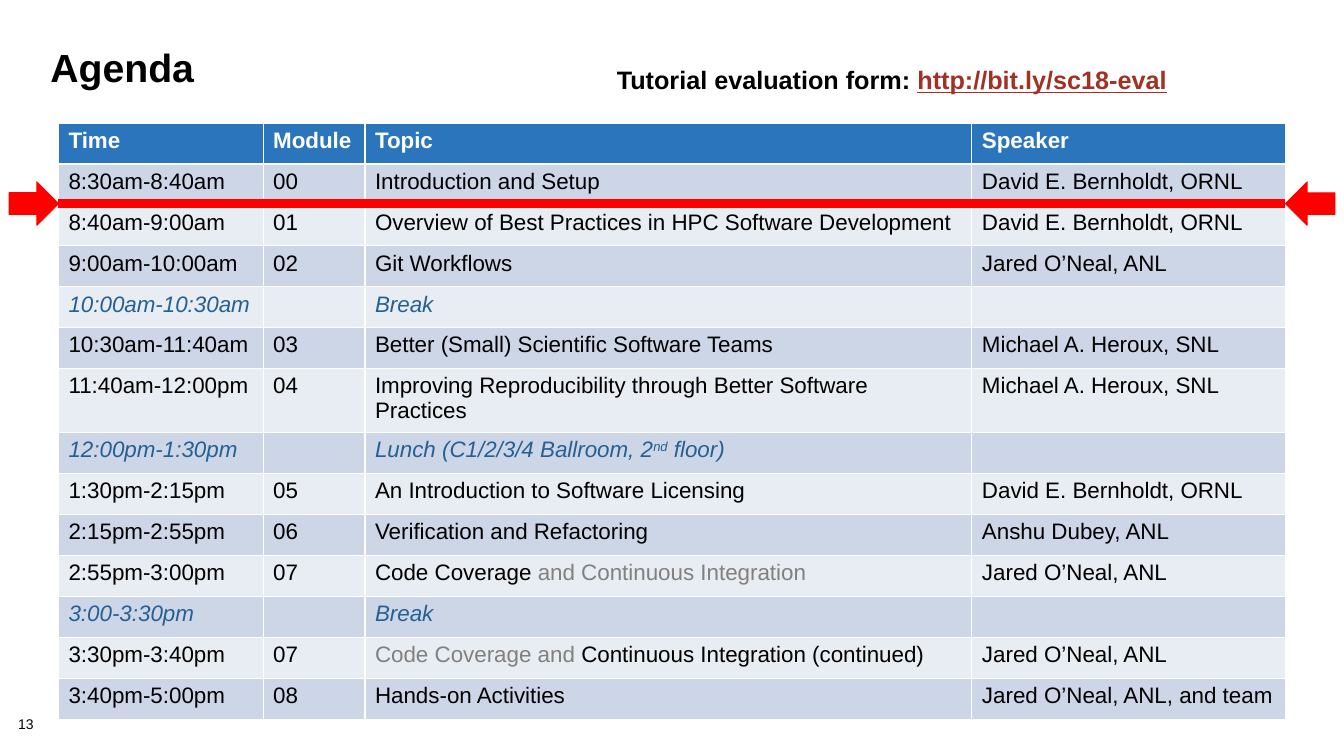
from lxml import etree
from pptx import Presentation
from pptx import util as u
from pptx.dml.color import RGBColor
from pptx.enum import shapes, text
from pptx.oxml.ns import qn

COLORS = {
    "black": "000000", "white": "FFFFFF", "header": "2A75BB",
    "band_dark": "CDD6E7", "band_light": "E8ECF3", "pause": "266093",
    "muted": "808080", "link": "A03123", "marker": "FF0000",
}
BERNHOLDT = "David E. Bernholdt, ORNL"
ONEAL = "Jared O’Neal, ANL"
HEROUX = "Michael A. Heroux, SNL"
MUTED = {"color": "muted"}

HEADER = ("Time", "Module", "Topic", "Speaker")
# A topic is plain text or a list of (text, format) spans; no module means a pause.
SESSIONS = [
    ("8:30am-8:40am", "00", "Introduction and Setup", BERNHOLDT),
    ("8:40am-9:00am", "01", "Overview of Best Practices in HPC Software Development", BERNHOLDT),
    ("9:00am-10:00am", "02", "Git Workflows", ONEAL),
    ("10:00am-10:30am", "", "Break", ""),
    ("10:30am-11:40am", "03", "Better (Small) Scientific Software Teams", HEROUX),
    ("11:40am-12:00pm", "04", "Improving Reproducibility through Better Software Practices", HEROUX),
    ("12:00pm-1:30pm", "", [("Lunch (C1/2/3/4 Ballroom, 2", {}), ("nd", {"raised": True}),
                            (" floor)", {})], ""),
    ("1:30pm-2:15pm", "05", "An Introduction to Software Licensing", BERNHOLDT),
    ("2:15pm-2:55pm", "06", "Verification and Refactoring", "Anshu Dubey, ANL"),
    ("2:55pm-3:00pm", "07", [("Code Coverage ", {}), ("and Continuous Integration", MUTED)], ONEAL),
    ("3:00-3:30pm", "", "Break", ""),
    ("3:30pm-3:40pm", "07", [("Code Coverage and ", MUTED),
                             ("Continuous Integration (continued)", {})], ONEAL),
    ("3:40pm-5:00pm", "08", "Hands-on Activities", "Jared O’Neal, ANL, and team"),
]


def rgb(name):
    return RGBColor.from_string(COLORS[name])


def add_span(para, words, size=16, color="black", bold=False, italic=False,
             underline=False, raised=False):
    span = para.add_run()
    span.text = words
    font = span.font
    font.name, font.size, font.color.rgb = "Arial", u.Pt(size), rgb(color)
    font.bold, font.italic = bold, italic
    if underline:
        font.underline = True
    if raised:
        span._r.get_or_add_rPr().set("baseline", "30000")


class AgendaSlide:
    def __init__(self, deck):
        self.page = deck.slides.add_slide(deck.slide_layouts[5])

    def title(self, words, left, top, width, height):
        box = self.page.shapes.title
        box.left, box.top = u.Inches(left), u.Inches(top)
        box.width, box.height = u.Inches(width), u.Inches(height)
        frame = box.text_frame
        frame.auto_size = text.MSO_AUTO_SIZE.NONE
        frame.vertical_anchor = text.MSO_ANCHOR.TOP
        para = frame.paragraphs[0]
        para.alignment, para.line_spacing = text.PP_ALIGN.LEFT, 0.85
        add_span(para, words, size=28, bold=True)

    def text_box(self, spans, left, top, width, height, spacing, align, inset=None):
        box = self.page.shapes.add_textbox(*map(u.Inches, (left, top, width, height)))
        frame = box.text_frame
        frame.word_wrap = False
        if inset is not None:
            frame.margin_left = frame.margin_right = u.Inches(inset)
            frame.margin_top = frame.margin_bottom = u.Inches(inset)
        para = frame.paragraphs[0]
        para.alignment, para.line_spacing = align, spacing
        for words, style in spans:
            add_span(para, words, **style)

    def table(self, rows, widths, left, top, height):
        frame = self.page.shapes.add_table(
            len(rows), len(widths), *map(u.Inches, (left, top, sum(widths), height)))
        grid = frame.table
        for column, width in zip(grid.columns, widths):
            column.width = u.Inches(width)
        for index, row in enumerate(rows):
            if index == 0:
                fill, style = "header", {"color": "white", "bold": True}
            else:
                fill = "band_dark" if index % 2 else "band_light"
                style = {} if row[1] else {"color": "pause", "italic": True}
            for cell, content in zip(grid.rows[index].cells, row):
                cell.fill.solid()
                cell.fill.fore_color.rgb = rgb(fill)
                spans = [(content, {})] if isinstance(content, str) else content
                for words, extra in spans:
                    if words:
                        add_span(cell.text_frame.paragraphs[0], words, **{**style, **extra})

    def line(self, left, right, y, color, weight):
        line = self.page.shapes.add_connector(
            shapes.MSO_CONNECTOR.STRAIGHT, *map(u.Inches, (left, y, right, y)))
        line.line.color.rgb, line.line.width = rgb(color), u.Pt(weight)
        etree.SubElement(line._element.spPr, qn("a:effectLst"))

    def arrow(self, left, top, width, height, color, rotation=0):
        arrow = self.page.shapes.add_shape(
            shapes.MSO_SHAPE.RIGHT_ARROW, *map(u.Inches, (left, top, width, height)))
        arrow.shadow.inherit = False
        arrow.rotation = rotation
        arrow.fill.solid()
        arrow.fill.fore_color.rgb = arrow.line.color.rgb = rgb(color)
        arrow.line.width = u.Pt(0.75)


def main():
    deck = Presentation()
    deck.slide_width, deck.slide_height = u.Inches(13.33), u.Inches(7.5)
    agenda = AgendaSlide(deck)

    # Heading, page number and schedule
    agenda.title("Agenda", 0.4, 0.45, 12.44, 1)
    agenda.text_box([("13", {"size": 10})], 0.18, 7.12, 0.56, 0.16,
                    0.9, text.PP_ALIGN.LEFT, inset=0)
    left, widths = 0.58, (2.03, 1.01, 6.02, 3.11)
    right = left + sum(widths)
    agenda.table([HEADER, *SESSIONS], widths, left, 1.22, 5.69)

    # Evaluation form
    strong = {"size": 18, "bold": True}
    agenda.text_box([("Tutorial evaluation form: ", strong),
                     ("http://bit.ly/sc18-eval", {**strong, "color": "link", "underline": True})],
                    5.99, 0.44, 5.71, 0.5, 1.5, text.PP_ALIGN.CENTER)

    # Marker for the current position in the schedule
    arrow_width, arrow_height, marker_y = 0.49, 0.43, 2.02
    agenda.line(left, right, marker_y, "marker", 6)
    for arrow_left, rotation in ((left - arrow_width, 0), (right, 180)):
        agenda.arrow(arrow_left, marker_y - arrow_height / 2, arrow_width, arrow_height,
                     "marker", rotation)

    deck.save("out.pptx")


if __name__ == "__main__":
    main()
